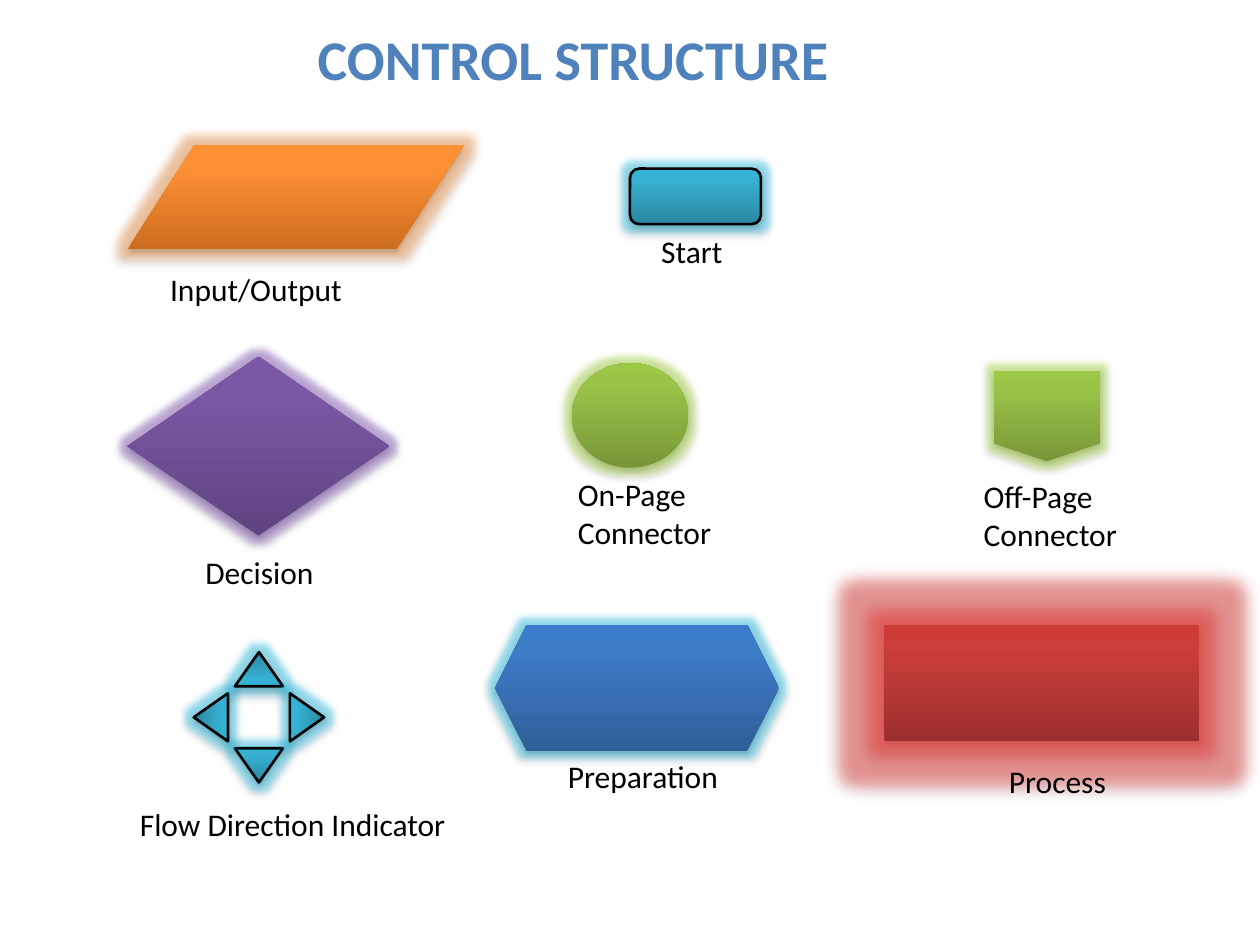
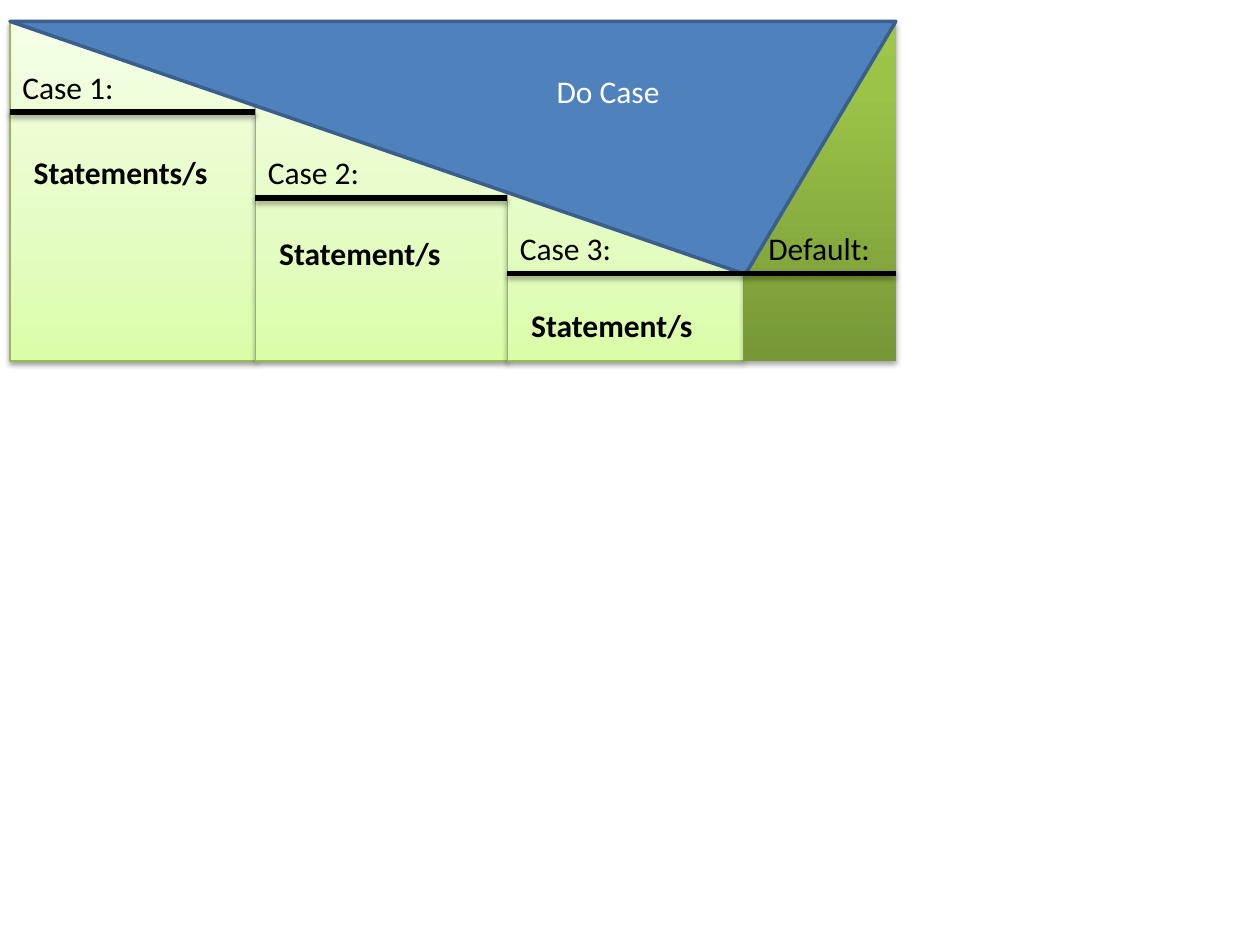
from copy import deepcopy
from math import cos, radians, sin

from lxml.etree import SubElement
from pptx import Presentation
from pptx.dml.color import RGBColor
from pptx.enum.shapes import MSO_CONNECTOR, MSO_SHAPE
from pptx.enum.text import MSO_ANCHOR, MSO_AUTO_SIZE, PP_ALIGN
from pptx.oxml.ns import qn
from pptx.util import Cm, Pt

FONT = "Calibri"
BLACK = RGBColor(0x00, 0x00, 0x00)
WHITE = RGBColor(0xFF, 0xFF, 0xFF)
BLUE = RGBColor(0x4F, 0x81, 0xBD)
NAVY = RGBColor(0x3A, 0x5F, 0x8C)
LEAF = RGBColor(0x98, 0xB9, 0x55)
AQUA_GLOW = RGBColor(0x4B, 0xAC, 0xC6)
LIME_GLOW = RGBColor(0x9B, 0xBB, 0x59)
ORANGE_GLOW = RGBColor(0xF7, 0x96, 0x46)
PURPLE_GLOW = RGBColor(0x80, 0x64, 0xA2)
RED_GLOW = RGBColor(0xC0, 0x50, 0x4D)


def ramp(middle, *codes):
    """Pair three colours, bottom to top, with their gradient positions."""
    return list(zip((0, middle, 1), map(RGBColor.from_string, codes)))


ORANGE = ramp(0.8, "CC6E20", "FF9034", "FF9136")
PURPLE = ramp(0.8, "5F4480", "7B58A6", "7C57A8")
AQUA = ramp(0.8, "2A88A2", "37B1D2", "34B4D6")
GREEN = ramp(0.8, "779737", "9BC348", "9DC746")
COBALT = ramp(0.8, "2F5F99", "3D7CC7", "3A7CCB")
RED = ramp(0.8, "9C2F2D", "CB3E3A", "CE3B37")
PALE = ramp(0.35, "DAFDA7", "E4FCC2", "F5FFE7")

# Lengths in centimetres: kind, box, gradient, outline, glow (colour, points)
SYMBOLS = [
    (MSO_SHAPE.FLOWCHART_DATA, (2.57, 2.92, 6.78, 2.11), ORANGE, None, (ORANGE_GLOW, 11)),
    (MSO_SHAPE.FLOWCHART_DECISION, (2.57, 7.19, 5.28, 3.61), PURPLE, None, (PURPLE_GLOW, 8)),
    (MSO_SHAPE.FLOWCHART_ALTERNATE_PROCESS, (12.7, 3.4, 2.64, 1.12), AQUA, BLACK, (AQUA_GLOW, 8)),
    (MSO_SHAPE.FLOWCHART_CONNECTOR, (11.53, 7.32, 2.34, 2.11), GREEN, None, (LIME_GLOW, 8)),
    (MSO_SHAPE.FLOWCHART_OFFPAGE_CONNECTOR, (20.04, 7.47, 2.13, 1.83), GREEN, None, (LIME_GLOW, 8)),
    (MSO_SHAPE.HEXAGON, (9.98, 12.6, 5.72, 2.54), COBALT, None, (AQUA_GLOW, 8)),
    (MSO_SHAPE.RECTANGLE, (17.83, 12.6, 6.35, 2.34), RED, None, (RED_GLOW, 18)),
]
# Text, left, top, width, lines
LABELS = [
    ("Input/Output", 3.18, 5.31, 4.24, 1),
    ("Start", 13.08, 4.55, 1.8, 1),
    ("Decision", 3.89, 11.02, 3.18, 1),
    ("On-Page Connector", 11.4, 9.45, 3.35, 2),
    ("Off-Page Connector", 19.58, 9.5, 3.2, 2),
    ("Flow Direction Indicator", 2.57, 16.1, 7.32, 1),
    ("Preparation", 11.2, 15.14, 3.89, 1),
    ("Process", 20.09, 15.24, 2.59, 1),
]
HUB = (5.22, 14.46)
REACH = 0.97
ARROW = (0.97, 0.69)

# Label, its top, statement, its top, column width, gradient
CASES = [
    ("Case 1:", 1.24, "Statements/s", 2.97, 4.95, PALE),
    ("Case 2:", 2.97, "Statement/s", 4.6, 5.08, PALE),
    ("Case 3:", 4.5, "Statement/s", 6.05, 4.76, PALE),
    ("Default:", 4.5, None, None, 3.07, GREEN),
]
LEFT, TOP, HEIGHT = 0.2, 0.45, 6.83
ROW = 1.02


def cms(*values):
    return [Cm(value) for value in values]


def write(shape, text, size=18, color=BLACK, bold=False):
    frame = shape.text_frame
    frame.word_wrap = True
    frame.vertical_anchor = MSO_ANCHOR.TOP
    frame.text = text
    line = frame.paragraphs[0]
    line.alignment = PP_ALIGN.LEFT
    font = line.runs[0].font
    font.name, font.size, font.bold = FONT, Pt(size), bold
    font.color.rgb = color


def label(shapes, text, left, top, width, lines=1, **style):
    box = shapes.add_textbox(*cms(left, top, width, 0.25 + 0.77 * lines))
    write(box, text, **style)
    box.text_frame.auto_size = MSO_AUTO_SIZE.SHAPE_TO_FIT_TEXT


def tint(parent, color, alpha):
    node = SubElement(parent, qn("a:srgbClr"), val=str(color))
    SubElement(node, qn("a:alpha"), val=str(alpha * 1000))
    return node


def cast(shape, glow=None, alpha=35, drop=1.8):
    """Give a shape or connector its soft drop shadow and optional glow."""
    effects = SubElement(shape.element.spPr, qn("a:effectLst"))
    if glow:
        color, reach = glow
        halo = SubElement(effects, qn("a:glow"), rad=str(Pt(reach)))
        SubElement(tint(halo, color, 40), qn("a:satMod"), val="175000")
    shade = SubElement(effects, qn("a:outerShdw"), blurRad=str(Pt(3.1)),
                       dist=str(Pt(drop)), dir="5400000", rotWithShape="0")
    tint(shade, BLACK, alpha)


def outline(shape, color, width):
    if color is None:
        shape.line.fill.background()
    else:
        shape.line.color.rgb = color
        shape.line.width = Pt(width)


def block(shapes, kind, box, colors, edge=None, width=1.5, **effects):
    shape = shapes.add_shape(kind, *cms(*box))
    shape.fill.gradient()
    shape.fill.gradient_angle = 90
    stops = shape.element.spPr.find(qn("a:gradFill")).find(qn("a:gsLst"))
    stops.append(deepcopy(stops[-1]))
    for stop, (place, color) in zip(shape.fill.gradient_stops, colors):
        stop.position = place
        stop.color.rgb = color
    outline(shape, edge, width)
    cast(shape, **effects)
    return shape


def symbols(deck):
    slide = deck.slides.add_slide(deck.slide_layouts[5])
    title, shapes = slide.shapes.title, slide.shapes
    title.left, title.top, title.width, title.height = cms(6.15, 0.36, 11.84, 1.63)
    write(title, "CONTROL STRUCTURE", size=32, color=BLUE, bold=True)

    for kind, box, colors, edge, glow in SYMBOLS:
        block(shapes, kind, box, colors, edge, glow=glow)
    for item in LABELS:
        label(shapes, *item)

    wide, high = ARROW
    for turn in range(0, 360, 90):
        x = HUB[0] - REACH * sin(radians(turn))
        y = HUB[1] + REACH * cos(radians(turn))
        arrow = block(shapes, MSO_SHAPE.FLOWCHART_MERGE,
                      (x - wide / 2, y - high / 2, wide, high),
                      AQUA, BLACK, glow=(AQUA_GLOW, 8))
        arrow.rotation = turn


def cases(deck):
    slide = deck.slides.add_slide(deck.slide_layouts[6])
    shapes = slide.shapes.add_group_shape().shapes
    edges = [LEFT]
    for case in CASES:
        edges.append(edges[-1] + case[4])

    for x, (*_, width, colors) in zip(edges, CASES):
        box = (x, TOP, width, HEIGHT)
        if colors is PALE:
            block(shapes, MSO_SHAPE.RECTANGLE, box, colors, LEAF, 0.75, alpha=38, drop=1.6)
        else:
            block(shapes, MSO_SHAPE.RECTANGLE, box, colors)

    wedge = shapes.add_shape(MSO_SHAPE.ISOSCELES_TRIANGLE,
                             *cms(LEFT, TOP - 0.02, edges[-1] - LEFT, 5.1))
    wedge.rotation = 180
    wedge.adjustments[0] = 0.17
    wedge.shadow.inherit = False
    wedge.fill.solid()
    wedge.fill.fore_color.rgb = BLUE
    outline(wedge, NAVY, 2)

    for x, (name, top, action, low, width, colors) in zip(edges, CASES):
        inset = 0 if action else 0.25
        label(shapes, name, x + inset, top, width)
        rule = shapes.add_connector(MSO_CONNECTOR.STRAIGHT,
                                    *cms(x, top + ROW, x + width, top + ROW))
        outline(rule, BLACK, 3)
        cast(rule)
        if action:
            label(shapes, action, x + 0.23, low, 4.47, bold=True)
    label(shapes, "Do Case", 10.97, 1.32, 3.1, color=WHITE)


def main():
    deck = Presentation()
    deck.slide_width, deck.slide_height = cms(25.4, 19.05)
    symbols(deck)
    cases(deck)
    deck.save("out.pptx")


if __name__ == "__main__":
    main()
